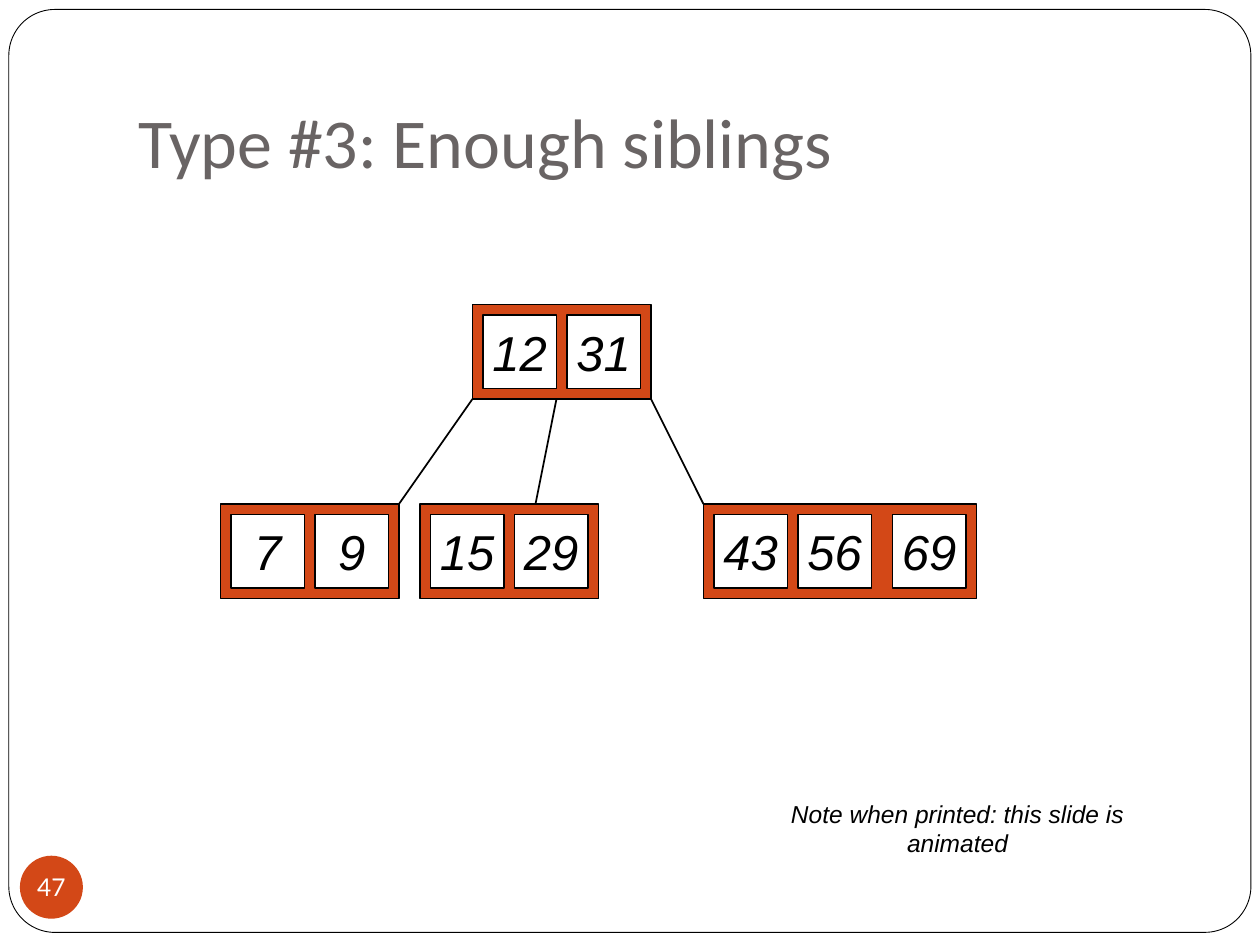
from dataclasses import dataclass
from pptx import Presentation
from pptx.dml.color import RGBColor as Rgb
from pptx.enum.shapes import MSO_CONNECTOR as Conn, MSO_SHAPE as Kind
from pptx.enum.text import MSO_ANCHOR as Anchor, PP_ALIGN as Align
from pptx.oxml.ns import qn
from pptx.util import Inches, Pt
from lxml.etree import SubElement


@dataclass(frozen=True)
class Theme:
    ink: str = "000000"
    paper: str = "FFFFFF"
    accent: str = "D34817"
    gray: str = "696464"
    head: str = "Calibri"
    body: str = "Arial"
    badge: str = "Lato"
    title: int = 40
    key: int = 28
    small: int = 14
    thin: float = 0.5
    line: float = 1


look = Theme()
COLS, ROWS = 120, 90
deck = Presentation()
deck.slide_width, deck.slide_height = Inches(10), Inches(7.5)
cell = deck.slide_width // COLS


def grid(*units):
    return [round(unit * cell) for unit in units]


def shape(home, kind, box, fill, width=look.line):
    item = home.add_shape(kind, *grid(*box))
    item.shadow.inherit = False
    item.fill.solid()
    item.fill.fore_color.rgb = Rgb.from_string(fill)
    if width:
        item.line.color.rgb = Rgb.from_string(look.ink)
        item.line.width = Pt(width)
    else:
        item.line.fill.background()
    return item


def write(item, words, font, size, color, italic=False, align=Align.CENTER,
          anchor=Anchor.MIDDLE, wrap=False):
    frame = item.text_frame
    frame.word_wrap = wrap
    frame.vertical_anchor = anchor
    para = frame.paragraphs[0]
    para.alignment = align
    run = para.add_run()
    run.text = words
    run.font.name, run.font.size = font, Pt(size)
    run.font.italic = italic
    run.font.color.rgb = Rgb.from_string(color)
    return frame


def border(home, box):
    item = shape(home, Kind.ROUNDED_RECTANGLE, box, look.paper, look.thin)
    item.adjustments[0] = 0.05


def title(home, box, words):
    item = home.add_textbox(*grid(*box))
    frame = write(item, words, look.head, look.title, look.gray,
                  align=Align.LEFT, anchor=Anchor.BOTTOM, wrap=True)
    frame.margin_bottom = Inches(0.1)


def node(home, box, keys):
    left, top, wide, high = box
    group = home.add_group_shape().shapes
    shape(group, Kind.RECTANGLE, box, look.accent)
    side = high - 2
    for slot, key in zip((1, 9, 18), keys):
        item = shape(group, Kind.RECTANGLE, (left + slot, top + 1, side, side), look.paper)
        write(item, key, look.body, look.key, look.ink, True)


def edge(home, start, end):
    item = home.add_connector(Conn.STRAIGHT, *grid(*start, *end))
    item.line.color.rgb = Rgb.from_string(look.ink)
    item.line.width = Pt(look.line)
    SubElement(item._element.spPr, qn("a:effectLst"))


def tree(home, box):
    left, top, wide, high = box
    tall, pair, trio = 9, 17, 26
    base = top + high - tall
    root = left + 24
    node(home, (root, top, pair, tall), ("12", "31"))
    leaves = ((0, pair, ("7", "9")), (19, pair, ("15", "29")),
              (46, trio, ("43", "56", "69")))
    for shift, width, keys in leaves:
        node(home, (left + shift, base, width, tall), keys)
    for start, end in ((0, 17), (8, 30), (pair, 46)):
        edge(home, (root + start, top + tall), (left + end, base))


def note(home, box, words):
    item = home.add_textbox(*grid(*box))
    write(item, words, look.body, look.small, look.ink, True, wrap=True)


def badge(home, box, words):
    item = shape(home, Kind.OVAL, box, look.accent, 0)
    frame = write(item, words, look.badge, look.small, look.paper)
    frame.margin_left = frame.margin_right = 0
    frame.margin_top = frame.margin_bottom = 0


page = deck.slides.add_slide(deck.slide_layouts[6]).shapes
border(page, (0.84, 0.9, 118.3, 87.9))
title(page, (12, 3.6, 102, 15), "Type #3: Enough siblings")
tree(page, (21, 29, 72, 28))
note(page, (69.1, 76.9, 44.2, 4), "Note when printed: this slide is animated")
badge(page, (1.9, 81.5, 6, 6), "47")
deck.save("out.pptx")
